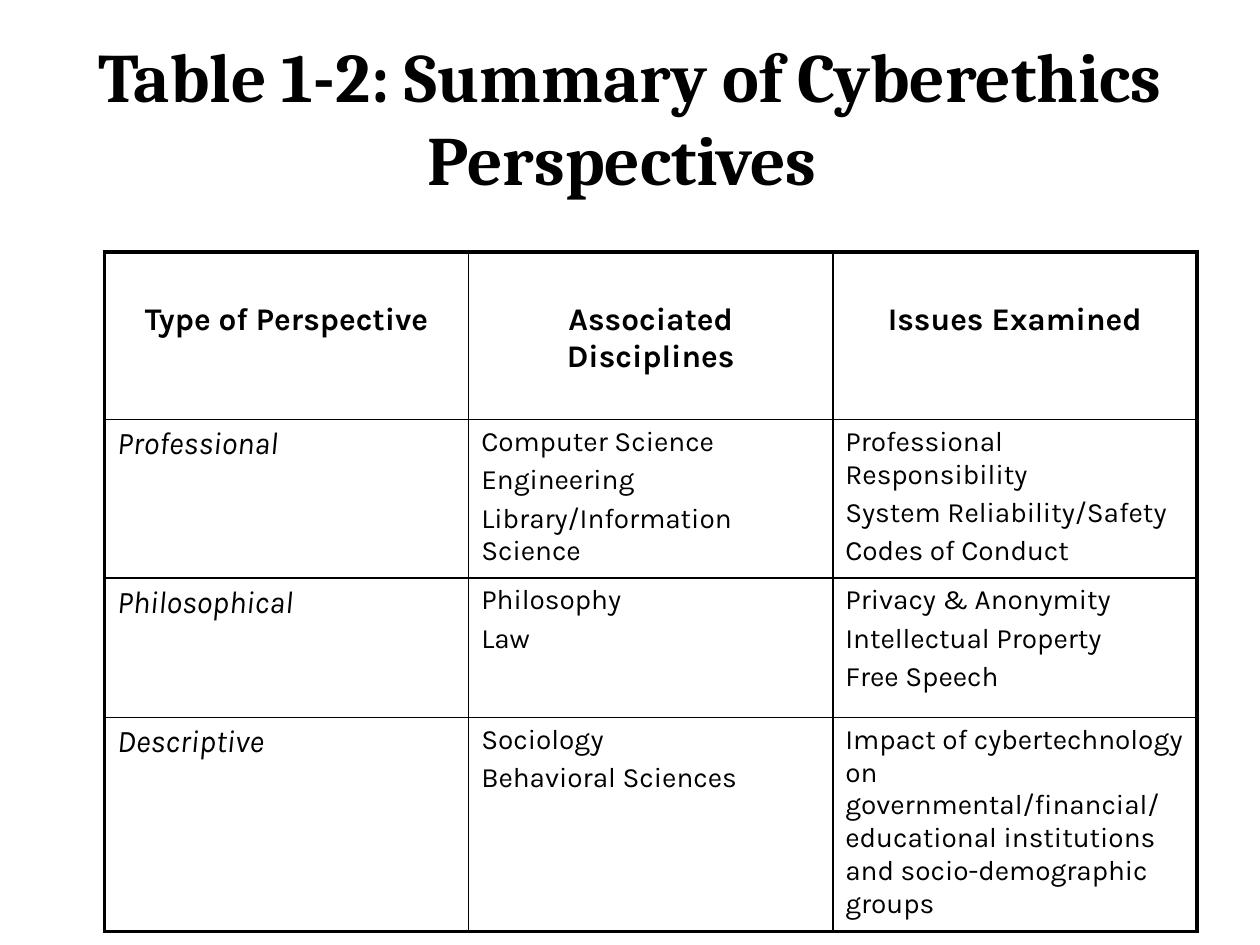
from dataclasses import dataclass
from lxml.etree import SubElement as Sub
from pptx import Presentation
from pptx.dml.color import RGBColor as RGB
from pptx.enum.text import MSO_ANCHOR as Anchor, PP_ALIGN as Align
from pptx.oxml.ns import qn
from pptx.util import Inches, Pt


@dataclass(frozen=True)
class Theme:
    ink: str = "000000"
    paper: str = "FFFFFF"
    serif: str = "Cambria"
    sans: str = "Karla"
    title: float = 39.6
    head: float = 18
    body: float = 16
    thin: float = 1
    thick: float = 2.25


THEME = Theme()

HEADS = ["Type of Perspective", "Associated Disciplines", "Issues Examined"]
ROWS = [
    ("Professional",
     ["Computer Science", "Engineering", "Library/Information Science"],
     ["Professional Responsibility", "System Reliability/Safety",
      "Codes of Conduct"]),
    ("Philosophical",
     ["Philosophy", "Law"],
     ["Privacy & Anonymity", "Intellectual Property", "Free Speech"]),
    ("Descriptive",
     ["Sociology", "Behavioral Sciences"],
     ["Impact of cybertechnology on governmental/financial/ "
      "educational institutions and socio-demographic groups"]),
]
HEIGHTS = [1.33, 1.22, 1.11, 1.66]


def write(frame, lines, font, size, bold=False, italic=False,
          align=Align.LEFT):
    """Write one paragraph per line, spaced by a fifth of the type size."""
    frame.word_wrap = True
    for i, line in enumerate(lines):
        para = frame.paragraphs[0] if i == 0 else frame.add_paragraph()
        para.alignment = align
        para.space_before = Pt(size * 0.2 if i else 0)
        run = para.add_run()
        run.text = line
        run.font.name = font
        run.font.size = Pt(size)
        run.font.bold = bold
        run.font.italic = italic
        run.font.color.rgb = RGB.from_string(THEME.ink)


def border(cell, edges):
    """Draw the cell sides; edges maps a side tag to its width."""
    props = cell._tc.get_or_add_tcPr()
    for i, (side, width) in enumerate(edges.items()):
        line = props.makeelement(qn(f"a:{side}"), {"w": str(Pt(width))})
        fill = Sub(line, qn("a:solidFill"))
        Sub(fill, qn("a:srgbClr"), val=THEME.ink)
        props.insert(i, line)


def add_title(slide, left, top, width, height):
    box = slide.shapes.add_textbox(left, top, width, height)
    box.text_frame.vertical_anchor = Anchor.MIDDLE
    write(box.text_frame, ["Table 1-2: Summary of Cyberethics Perspectives "],
          THEME.serif, THEME.title, bold=True, align=Align.CENTER)


def add_grid(slide, left, top, width, height):
    count, span = len(ROWS) + 1, len(HEADS)
    grid = slide.shapes.add_table(count, span, left, top, width, height).table
    grid.first_row = grid.horz_banding = False
    for col in grid.columns:
        col.width = int(width / span)
    for row, size in zip(grid.rows, HEIGHTS):
        row.height = Inches(size)

    # Heading row
    for c, head in enumerate(HEADS):
        cell = grid.cell(0, c)
        cell.margin_top = Inches(0.39)
        write(cell.text_frame, [head], THEME.sans, THEME.head, bold=True,
              align=Align.CENTER)

    # One row for each perspective
    for r, (kind, *lists) in enumerate(ROWS, 1):
        write(grid.cell(r, 0).text_frame, [kind], THEME.sans, THEME.head,
              italic=True)
        for c, lines in enumerate(lists, 1):
            write(grid.cell(r, c).text_frame, lines, THEME.sans, THEME.body)

    # Thick outer frame, thin inner rules
    for r in range(count):
        for c in range(span):
            cell = grid.cell(r, c)
            cell.fill.background()
            outer = {"lnL": c == 0, "lnR": c == span - 1,
                     "lnT": r == 0, "lnB": r == count - 1}
            border(cell, {side: THEME.thick if out else THEME.thin
                          for side, out in outer.items()})


def main():
    deck = Presentation()
    deck.slide_width, deck.slide_height = Inches(10), Inches(7.5)
    slide = deck.slides.add_slide(deck.slide_layouts[6])
    back = slide.background.fill
    back.solid()
    back.fore_color.rgb = RGB.from_string(THEME.paper)
    add_title(slide, Inches(0.5), Inches(0.3), Inches(9), Inches(1.25))
    add_grid(slide, Inches(0.83), Inches(2), Inches(8.67),
             Inches(sum(HEIGHTS)))
    deck.save("out.pptx")


if __name__ == "__main__":
    main()
